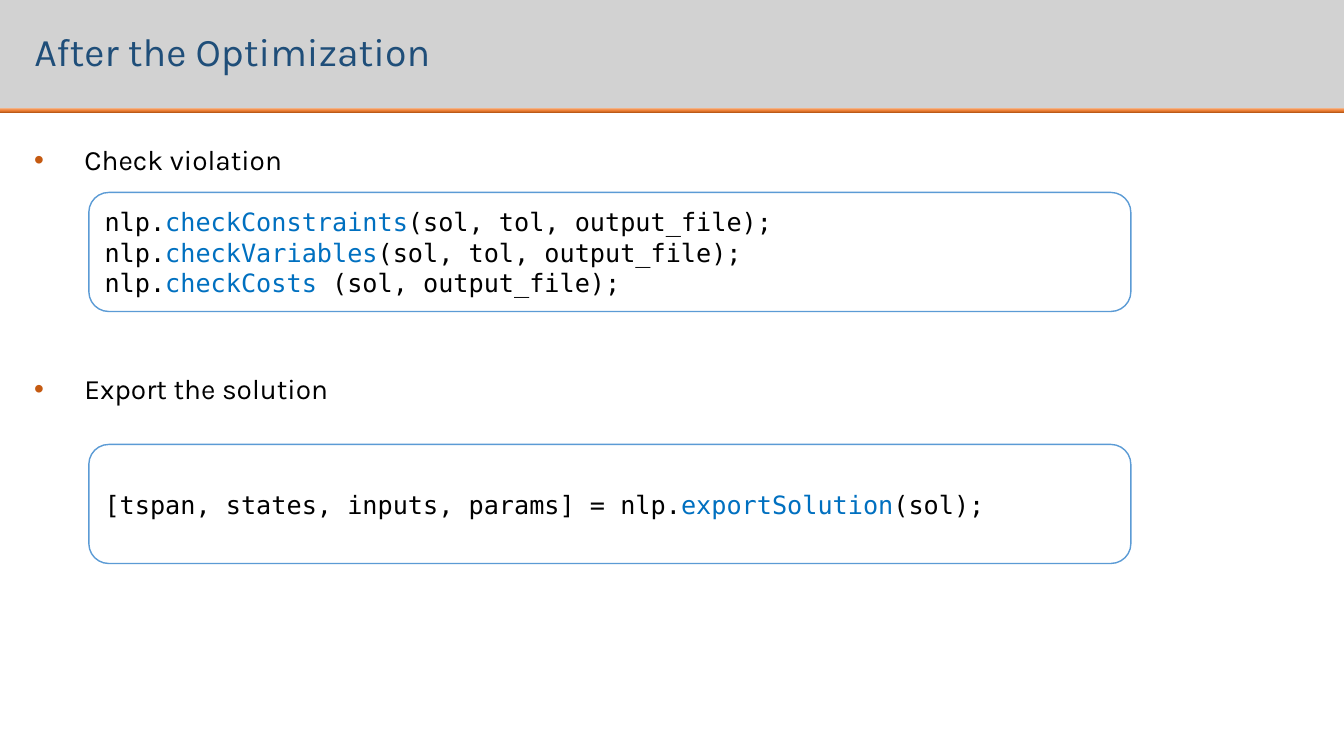
import copy

import pptx
import pptx.dml.color
import pptx.enum.shapes
import pptx.enum.text
import pptx.oxml
import pptx.oxml.ns
import pptx.util

Cm = pptx.util.Cm
Pt = pptx.util.Pt
RGB = pptx.dml.color.RGBColor
SHAPE = pptx.enum.shapes.MSO_SHAPE
ALIGN = pptx.enum.text.PP_ALIGN
ANCHOR = pptx.enum.text.MSO_ANCHOR

GREY = RGB(0xD2, 0xD2, 0xD2)
NAVY = RGB(0x1F, 0x4E, 0x79)
BLACK = RGB(0, 0, 0)
WHITE = RGB(0xFF, 0xFF, 0xFF)
BORDER = RGB(0x5B, 0x9B, 0xD5)
METHOD = RGB(0x00, 0x70, 0xC0)
BULLET = RGB(0xC5, 0x5A, 0x11)
RULE = [RGB(0xB0, 0x50, 0x0F), RGB(0xEE, 0x81, 0x37), RGB(0xF4, 0xB1, 0x83)]
RULE_STOPS = [0, 0.48, 1]
TEXT_FONT = "Karla"
CODE_FONT = "DejaVu Sans Mono"


def style(r, font, size, color):
    r.font.name = font
    r.font.size = Pt(size)
    r.font.color.rgb = color


def add_box(s, kind, x, y, w, h):
    sp = s.shapes.add_shape(kind, Cm(x), Cm(y), Cm(w), Cm(h))
    sp.shadow.inherit = False
    sp.line.fill.background()
    return sp


def add_header(s, x, y, w, h):
    rule_h = 0.13
    band = add_box(s, SHAPE.RECTANGLE, x, y, w, h - rule_h)
    band.fill.solid()
    band.fill.fore_color.rgb = GREY

    rule = add_box(s, SHAPE.RECTANGLE, x, y + h - rule_h, w, rule_h)
    rule.fill.gradient()
    rule.fill.gradient_angle = 90
    first = rule.fill.gradient_stops[0]._gs
    first.addnext(copy.deepcopy(first))
    for stop, color, position in zip(rule.fill.gradient_stops, RULE, RULE_STOPS):
        stop.color.rgb = color
        stop.position = position

    title = s.shapes.title
    title.left, title.top = Cm(x + 0.61), Cm(y + 0.25)
    title.width, title.height = Cm(w - 1.38), Cm(2.21)
    tf = title.text_frame
    tf.text = "After the Optimization"
    tf.vertical_anchor = ANCHOR.MIDDLE
    p = tf.paragraphs[0]
    p.alignment = ALIGN.LEFT
    p.line_spacing = 0.9
    style(p.runs[0], TEXT_FONT, 28, NAVY)
    rule._element.addnext(title._element)


def add_bullet(s, text, x, y, w, h):
    tf = s.shapes.add_textbox(Cm(x), Cm(y), Cm(w), Cm(h)).text_frame
    tf.word_wrap = True
    tf.text = text
    p = tf.paragraphs[0]
    p.line_spacing = 0.9
    style(p.runs[0], TEXT_FONT, 20, BLACK)
    pPr = p._p.get_or_add_pPr()
    pPr.set("marL", str(Cm(1.27)))
    pPr.set("indent", str(-Cm(1.27)))
    ns = pptx.oxml.ns.nsdecls("a")
    for xml in (
        f'<a:buClr {ns}><a:srgbClr val="{BULLET}"/></a:buClr>',
        f'<a:buFont {ns} typeface="Arial"/>',
        f'<a:buChar {ns} char="•"/>',
    ):
        pPr.append(pptx.oxml.parse_xml(xml))


def add_code(s, lines, x, y, w, h):
    sp = add_box(s, SHAPE.ROUNDED_RECTANGLE, x, y, w, h)
    sp.fill.solid()
    sp.fill.fore_color.rgb = WHITE
    sp.line.color.rgb = BORDER
    sp.line.width = Pt(1)
    tf = sp.text_frame
    tf.word_wrap = True
    tf.vertical_anchor = ANCHOR.MIDDLE
    for i, parts in enumerate(lines):
        p = tf.add_paragraph() if i else tf.paragraphs[0]
        p.alignment = ALIGN.LEFT
        for text, color in zip(parts, (BLACK, METHOD, BLACK)):
            r = p.add_run()
            r.text = text
            style(r, CODE_FONT, 18, color)


def add_section(s, heading, lines, x, y, w, h):
    code_h = 3
    add_bullet(s, heading, x, y, w, 1)
    add_code(s, lines, x + 1.63, y + h - code_h, 26.26, code_h)


CHECKS = [
    ("nlp.", "checkConstraints", "(sol, tol, output_file);"),
    ("nlp.", "checkVariables", "(sol, tol, output_file);"),
    ("nlp.", "checkCosts ", "(sol, output_file);"),
]
EXPORT = [("[tspan, states, inputs, params] = nlp.", "exportSolution", "(sol);")]

prs = pptx.Presentation()
prs.slide_width, prs.slide_height = Cm(33.87), Cm(19.05)
s = prs.slides.add_slide(prs.slide_layouts[5])
add_header(s, 0, 0, 33.87, 2.85)
add_section(s, "Check violation", CHECKS, 0.61, 3.56, 32.49, 4.29)
add_section(s, "Export the solution", EXPORT, 0.61, 9.33, 32.49, 4.87)
prs.save("out.pptx")
